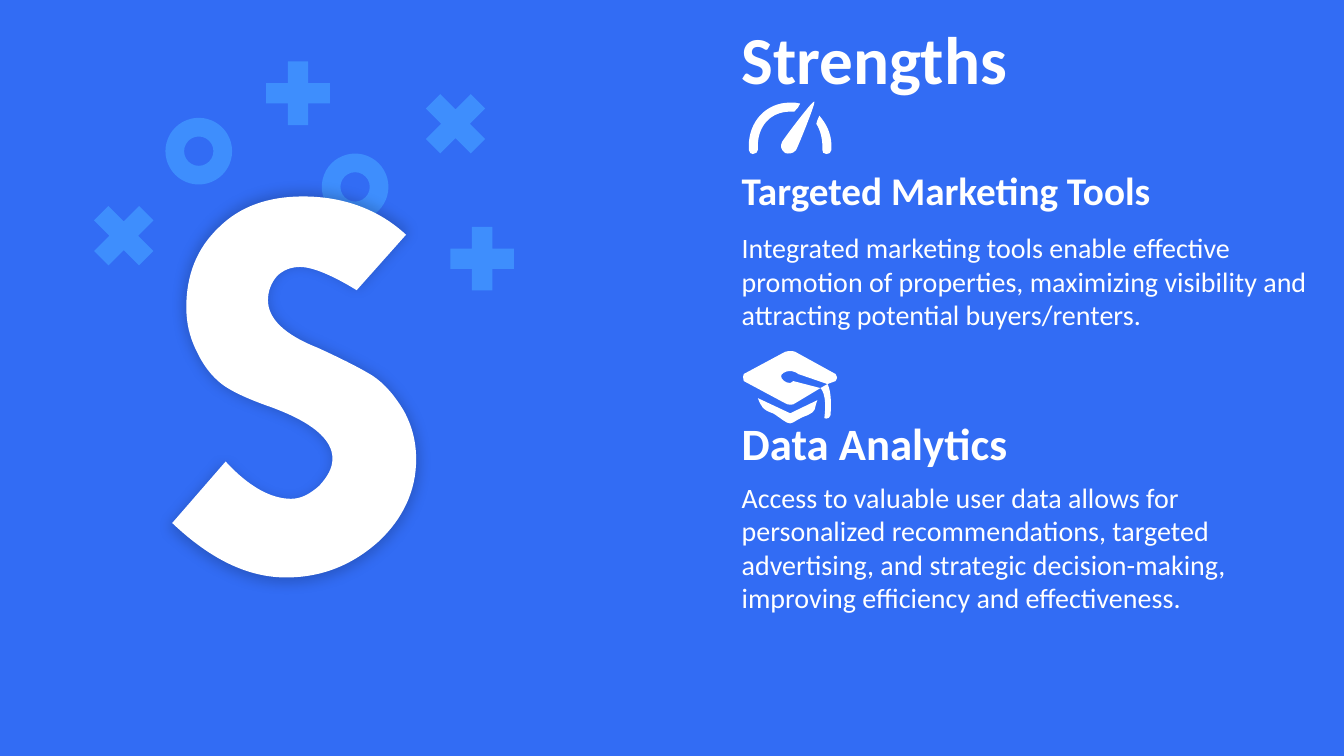
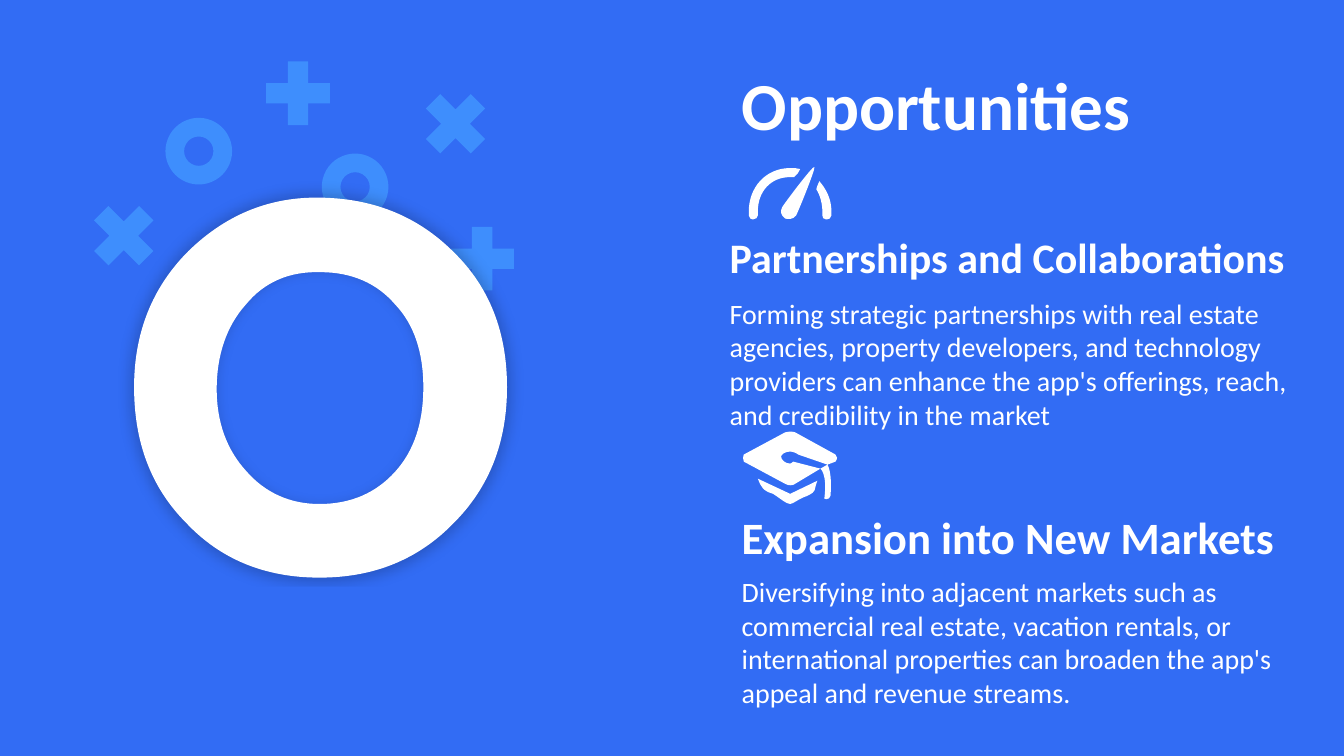
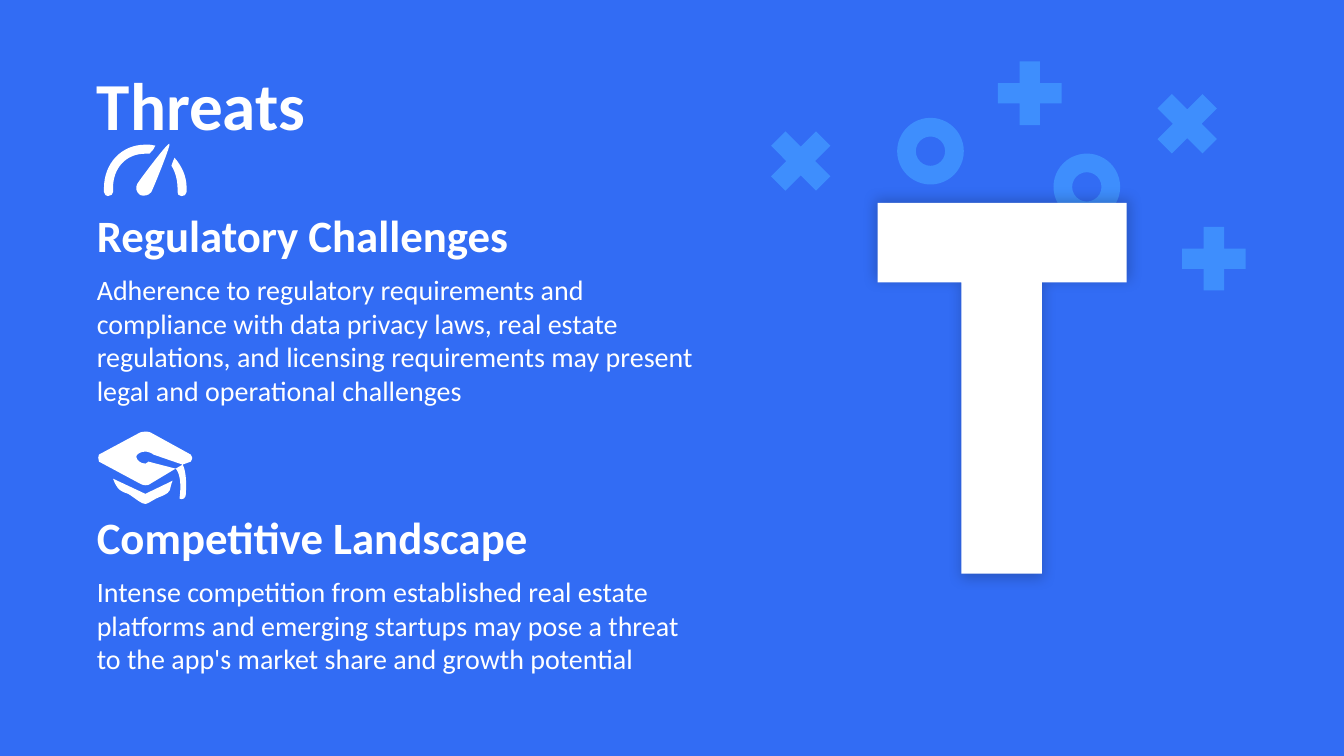
import dataclasses

import lxml.etree
import pptx
import pptx.dml.color
import pptx.enum.shapes
import pptx.enum.text
import pptx.oxml.ns
import pptx.util

Cm = pptx.util.Cm
Pt = pptx.util.Pt
ShapeKind = pptx.enum.shapes.MSO_SHAPE
qualified = pptx.oxml.ns.qn


@dataclasses.dataclass(frozen=True)
class Theme:
    background: str = "326CF4"
    accent: str = "3E8EFD"
    light: str = "FFFFFF"
    shadow: str = "000000"
    font: str = "Calibri"
    title_size: int = 48
    heading_size: int = 32
    body_size: int = 20
    line_height: float = 1.22


# Outlines in hundredths of an inch, measured from their own top left corner
OUTLINE_UNIT = Cm(0.0254)

GAUGE = """
M 33 42 C 31 46 32 50 36 53 C 39 54 44 54 47 50 C 50 44 67 2 65 2
C 64 0 36 37 33 42 Z
M 41 12 C 42 12 44 12 45 12 C 48 9 50 7 51 4 C 48 3 45 3 41 3
C 17 3 0 22 0 46 C 0 47 0 49 0 50 C 0 53 3 54 4 54 C 7 54 9 52 9 50
C 9 49 9 47 9 46 C 9 26 22 12 41 12 Z
M 70 16 C 68 19 68 22 67 24 C 71 30 73 39 73 46 C 73 47 73 49 73 50
C 73 52 74 54 77 54 C 79 54 82 53 82 50 C 82 49 82 47 82 46
C 82 34 77 24 70 16 Z"""

GRADUATION_CAP = """
M 15 47 C 18 55 20 59 30 62 C 38 67 43 72 47 72 C 50 72 55 67 64 64
C 74 59 70 59 74 49 L 47 62 Z
M 92 23 L 52 1 C 50 0 45 0 42 1 L 1 23 C 0 25 0 27 1 30 L 42 52
C 45 54 50 54 52 52 L 77 37 L 50 30 C 49 30 49 32 47 32 C 42 32 38 28 38 25
C 38 23 42 20 47 20 C 50 20 54 22 55 23 L 84 33 L 92 30 C 94 27 94 25 92 23 Z
M 81 66 C 79 67 86 69 87 64 C 89 40 84 33 84 33 L 77 37 C 77 37 84 42 81 66 Z"""

LETTER_S = """
M 130 0 C 170 0 205 13 232 38 L 183 93 C 157 77 138 70 127 70
C 118 70 110 73 104 79 C 98 86 95 94 95 103 C 95 121 111 137 144 150
C 168 161 186 170 199 178 C 211 186 221 198 230 213 C 238 228 242 243 242 261
C 242 292 229 320 204 343 C 178 366 148 378 113 378 C 75 378 38 360 0 324
L 53 263 C 76 288 98 300 118 300 C 128 300 137 295 146 287
C 154 278 159 270 159 260 C 159 241 139 224 98 209 C 75 201 58 193 49 186
C 39 178 31 168 24 153 C 17 139 14 125 14 110 C 14 77 25 51 46 31
C 67 10 95 0 130 0 Z"""

LETTER_O = """
M 185 74 C 154 73 129 84 111 106 C 92 127 82 156 82 190
C 82 223 92 250 111 271 C 130 293 155 304 184 304 C 215 304 240 293 259 272
C 278 251 287 223 287 188 C 287 154 278 126 259 106 C 241 85 216 74 185 74 Z
M 181 0 C 236 0 281 18 317 54 C 353 89 370 134 370 188
C 370 242 353 287 317 323 C 282 359 238 377 184 377 C 130 377 86 359 52 323
C 17 288 0 243 0 188 C 0 134 18 89 54 53 C 90 18 132 0 181 0 Z"""

LETTER_T = """
M 0 0 L 247 0 L 247 79 L 163 79 L 163 368 L 83 368 L 83 79 L 0 79 Z"""


def read_outline(outline):
    """Return the point lists of an outline and the order of its L and C commands."""
    tokens = iter(outline.split())
    contours, commands = [], []

    def point():
        return int(next(tokens)), int(next(tokens))

    for command in tokens:
        if command == "M":
            contours.append([point()])
        elif command in "LC":
            commands.append(command)
            contours[-1].extend(point() for _ in range(3 if command == "C" else 1))
    return contours, commands


def bend(shape, commands):
    """Join the three straight steps of each C command into one Bézier curve."""
    steps = iter(list(shape._element.iter(qualified("a:lnTo"))))
    for command in commands:
        step = next(steps)
        if command == "C":
            step.addprevious(lxml.etree.Element(qualified("a:cubicBezTo")))
            curve = step.getprevious()
            for part in (step, next(steps), next(steps)):
                curve.append(part[0])
                part.getparent().remove(part)


class Deck:
    def __init__(self, theme):
        self.theme = theme
        self.presentation = pptx.Presentation()
        self.presentation.slide_width = Cm(33.87)
        self.presentation.slide_height = Cm(19.05)
        self.slide = None
        self.paint(self.presentation.slide_master.background.fill, theme.background)

    def paint(self, fill, color):
        fill.solid()
        fill.fore_color.rgb = pptx.dml.color.RGBColor.from_string(color)

    def finish(self, shape, color):
        shape.shadow.inherit = False
        self.paint(shape.fill, color)
        shape.line.fill.background()

    def add_slide(self):
        self.slide = self.presentation.slides.add_slide(self.presentation.slide_layouts[6])

    def preset(self, kind, left, top, width, height, color, rotation=0):
        shape = self.slide.shapes.add_shape(kind, Cm(left), Cm(top), Cm(width), Cm(height))
        shape.rotation = rotation
        self.finish(shape, color)
        return shape

    def symbols(self, left, first_cross):
        """Scatter the crosses, pluses and rings behind the big letter."""
        accent = self.theme.accent
        crosses = [(*first_cross, 0), (6.42, 1.26, 45), (11.06, 5.43, 45)]
        for x, y, rotation in crosses:
            self.preset(ShapeKind.MATH_MULTIPLY, left + x, y, 2.18, 2.18, accent, rotation)
        for x, y in [(4.17, 2.97), (8.11, 3.87)]:
            ring = self.preset(ShapeKind.DONUT, left + x, y, 1.68, 1.68, accent)
            ring.adjustments[0] = 0.28
        self.preset(ShapeKind.MATH_MULTIPLY, left + 10.39, 2.03, 2.18, 2.18, accent)

    def panels(self, bottom_left, corner_left, corner_width):
        """Lay background panels along the bottom and in a top corner."""
        for left, top, width in [(bottom_left, 14.78, 15.42), (corner_left, 0, corner_width)]:
            self.preset(ShapeKind.RECTANGLE, left, top, width, 4.27, self.theme.background)

    def outline(self, outline, left, top):
        contours, commands = read_outline(outline)
        builder = self.slide.shapes.build_freeform(*contours[0][0], scale=OUTLINE_UNIT)
        for index, points in enumerate(contours):
            if index:
                builder.move_to(*points[0])
            builder.add_line_segments(points[1:], close=True)
        shape = builder.convert_to_shape(Cm(left), Cm(top))
        bend(shape, commands)
        self.finish(shape, self.theme.light)
        return shape

    def letter(self, outline, left, top):
        """Draw a big letter with a soft, slightly larger shadow."""
        shape = self.outline(outline, left, top)
        effects = shape._element.spPr.find(qualified("a:effectLst"))
        shadow = lxml.etree.SubElement(
            effects, qualified("a:outerShdw"), blurRad=str(Pt(10)), sx="102000", sy="102000",
            algn="ctr", rotWithShape="0")
        color = lxml.etree.SubElement(shadow, qualified("a:srgbClr"), val=self.theme.shadow)
        lxml.etree.SubElement(color, qualified("a:alpha"), val="20000")

    def text(self, text, left, top, width, size, bold=False, lines=1, parent=None):
        shapes = (parent or self.slide).shapes
        height = Pt(size * self.theme.line_height * lines) + Cm(0.25)
        box = shapes.add_textbox(Cm(left), Cm(top), Cm(width), height)
        frame = box.text_frame
        frame.word_wrap = True
        frame.auto_size = pptx.enum.text.MSO_AUTO_SIZE.SHAPE_TO_FIT_TEXT
        run = frame.paragraphs[0].add_run()
        run.text = text
        run.font.name = self.theme.font
        run.font.size = Pt(size)
        run.font.bold = bold
        run.font.color.rgb = pptx.dml.color.RGBColor.from_string(self.theme.light)

    def title(self, text, left, top):
        self.text(text, left, top, 11.58, self.theme.title_size, bold=True)

    def point(self, heading, body, left, top, widths, lines, size=None):
        """Group a bold heading with the paragraph below it."""
        group = self.slide.shapes.add_group_shape()
        heading_width, body_width = widths
        self.text(heading, left, top, heading_width, size or self.theme.heading_size,
                  bold=True, parent=group)
        self.text(body, left, top + 1.63, body_width, self.theme.body_size,
                  lines=lines, parent=group)


def main():
    deck = Deck(Theme())
    half = 18.44          # left edge of the right half
    margin = 2.19         # left edge of text in the left half
    gauge_inset, cap_inset = 0.43, 0.28
    usual_cross, raised_cross = (2.03, 4.85), (0.65, 2.97)

    # Strengths
    deck.add_slide()
    deck.symbols(0, usual_cross)
    deck.title("Strengths", half, 0.3)
    deck.outline(GAUGE, half + gauge_inset, 2.51)
    deck.point("Targeted Marketing Tools",
               "Integrated marketing tools enable effective promotion of properties, "
               "maximizing visibility and attracting potential buyers/renters.",
               half, 4.06, (12.17, 15.21), lines=3, size=28)
    deck.outline(GRADUATION_CAP, half + cap_inset, 8.84)
    deck.point("Data Analytics",
               "Access to valuable user data allows for personalized recommendations, "
               "targeted advertising, and strategic decision-making, improving efficiency "
               "and effectiveness.",
               half, 10.34, (10.82, 15.21), lines=4)
    deck.panels(0, 29.26, 4.6)
    deck.letter(LETTER_S, 4.34, 4.95)

    # Opportunities
    deck.add_slide()
    deck.symbols(0, usual_cross)
    deck.title("Opportunities", half, 1.47)
    deck.outline(GAUGE, half + gauge_inset, 4.16)
    deck.point("Partnerships and Collaborations",
               "Forming strategic partnerships with real estate agencies, property "
               "developers, and technology providers can enhance the app's offerings, "
               "reach, and credibility in the market",
               18.14, 5.71, (15.04, 15.44), lines=4, size=30)
    deck.outline(GRADUATION_CAP, half + cap_inset, 10.87)
    deck.point("Expansion into New Markets",
               "Diversifying into adjacent markets such as commercial real estate, "
               "vacation rentals, or international properties can broaden the app's "
               "appeal and revenue streams.",
               half, 12.72, (14.73, 14.99), lines=4)
    deck.letter(LETTER_O, 3.38, 4.98)
    deck.panels(0, 29.26, 4.6)

    # Threats
    deck.add_slide()
    deck.symbols(half, raised_cross)
    deck.title("Threats", margin, 1.47)
    deck.outline(GAUGE, margin + gauge_inset, 3.57)
    deck.point("Regulatory Challenges",
               "Adherence to regulatory requirements and compliance with data privacy "
               "laws, real estate regulations, and licensing requirements may present "
               "legal and operational challenges",
               margin, 5.11, (12.17, 16.05), lines=4)
    deck.outline(GRADUATION_CAP, margin + cap_inset, 10.87)
    deck.point("Competitive Landscape",
               "Intense competition from established real estate platforms and emerging "
               "startups may pose a threat to the app's market share and growth potential",
               margin, 12.72, (12.8, 15.6), lines=3)
    deck.panels(half, -0.08, 1.68)
    deck.letter(LETTER_T, 22.12, 5.11)

    deck.presentation.save("out.pptx")


if __name__ == "__main__":
    main()
